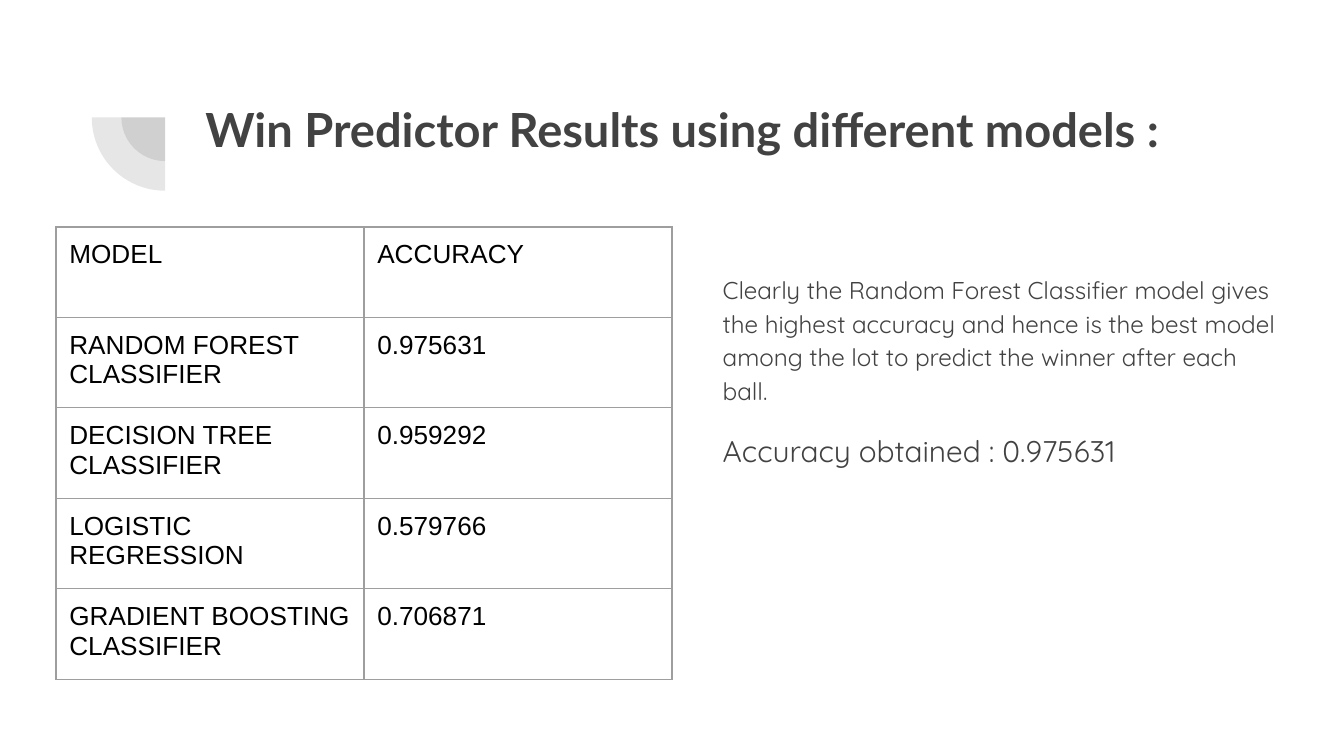
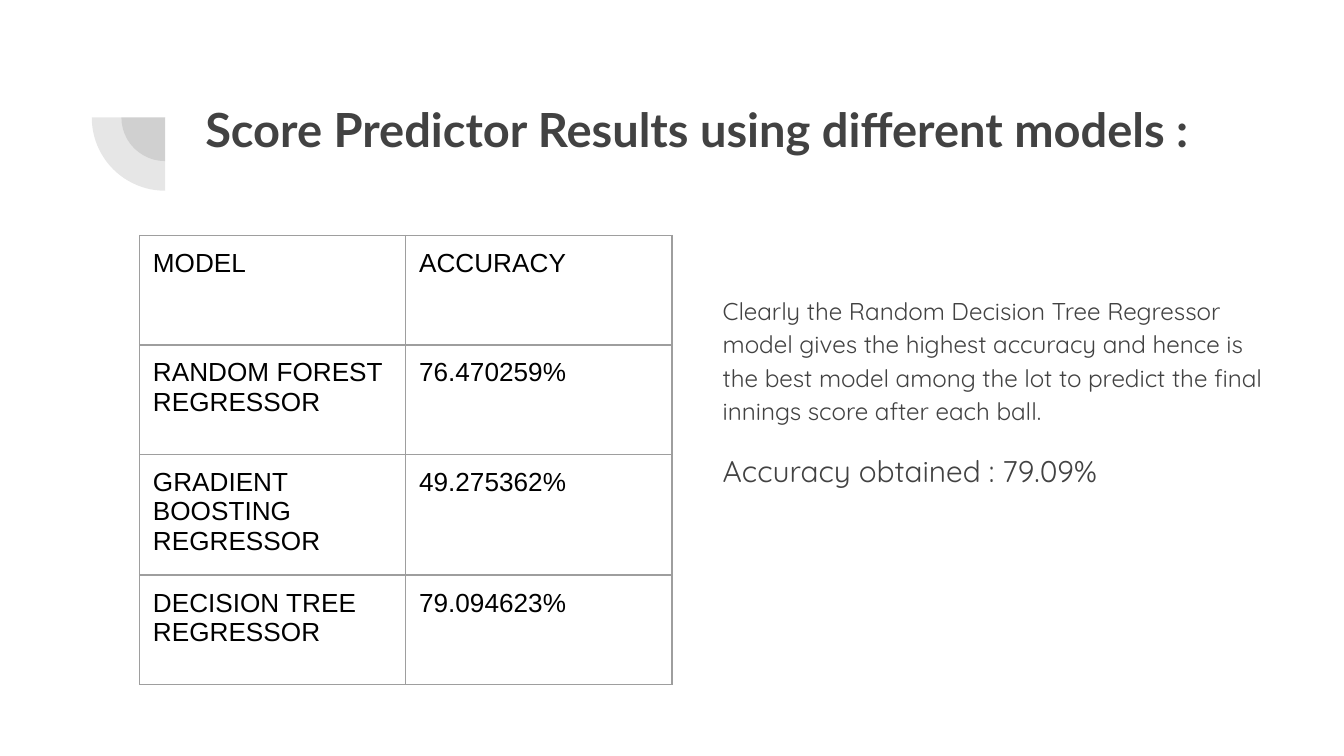
from dataclasses import dataclass

import pptx
import pptx.dml.color
import pptx.enum.shapes
import pptx.enum.text
import pptx.oxml.ns
import pptx.presentation
import pptx.shapes.autoshape
import pptx.slide
import pptx.table
import pptx.text.text
import pptx.util
from lxml import etree

Cm = pptx.util.Cm
Pt = pptx.util.Pt
qn = pptx.oxml.ns.qn

INK = "424242"
BLACK = "000000"
GRID = "9E9E9E"
PADDING = Cm(0.25)
TABLE_RIGHT = Cm(12.7)
BODY_BOTTOM = Cm(12.7)
PIE_CENTRE = (Cm(3.12), Cm(2.22))
PIE_DIAMETERS = (Cm(1.65), Cm(2.77))


@dataclass
class Style:
    font: str
    size: float
    color: str
    bold: bool = False


TITLE = Style("Lato", 25.2, INK, True)
COMMENT = Style("Quicksand", 13, INK)
RESULT = Style("Quicksand", 16, INK)
CELL = Style("Arial", 14, BLACK)


@dataclass
class ResultSlide:
    title: str
    title_width: pptx.util.Length
    comment: str
    result: str
    body_top: pptx.util.Length
    table_top: pptx.util.Length
    column_width: pptx.util.Length
    row_height: pptx.util.Length
    scores: list[tuple[str, str]]


SLIDES = [
    ResultSlide(
        title="Win Predictor Results using different models :",
        title_width=Cm(20.62),
        comment="Clearly the Random Forest Classifier model gives the highest accuracy "
        "and hence is the best model among the lot to predict the winner after each ball.",
        result="Accuracy obtained : 0.975631",
        body_top=Cm(4.88),
        table_top=Cm(4.29),
        column_width=Cm(5.82),
        row_height=Cm(1.71),
        scores=[
            ("RANDOM FOREST CLASSIFIER", "0.975631"),
            ("DECISION TREE CLASSIFIER", "0.959292"),
            ("LOGISTIC REGRESSION", "0.579766"),
            ("GRADIENT BOOSTING CLASSIFIER", "0.706871"),
        ],
    ),
    ResultSlide(
        title="Score Predictor Results using different models :",
        title_width=Cm(21.06),
        comment="Clearly the Random Decision Tree Regressor model gives the highest accuracy "
        "and hence is the best model among the lot to predict the final innings score "
        "after each ball.",
        result="Accuracy obtained : 79.09%",
        body_top=Cm(5.26),
        table_top=Cm(4.45),
        column_width=Cm(5.03),
        row_height=Cm(2.07),
        scores=[
            ("RANDOM FOREST REGRESSOR", "76.470259%"),
            ("GRADIENT BOOSTING REGRESSOR", "49.275362%"),
            ("DECISION TREE REGRESSOR", "79.094623%"),
        ],
    ),
]


def rgb(color: str) -> pptx.dml.color.RGBColor:
    return pptx.dml.color.RGBColor.from_string(color)


def add_run(p: pptx.text.text._Paragraph, text: str, style: Style) -> None:
    r = p.add_run()
    r.text = text
    r.font.name = style.font
    r.font.size = Pt(style.size)
    r.font.bold = style.bold
    r.font.color.rgb = rgb(style.color)


def add_text_box(s: pptx.slide.Slide, left: int, top: int, width: int,
                 height: int) -> pptx.text.text.TextFrame:
    tf = s.shapes.add_textbox(left, top, width, height).text_frame
    tf.word_wrap = True
    tf.vertical_anchor = pptx.enum.text.MSO_ANCHOR.TOP
    tf.margin_left = tf.margin_right = tf.margin_top = tf.margin_bottom = PADDING
    return tf


def add_quarter_pie(s: pptx.slide.Slide, diameter: int) -> None:
    x, y = PIE_CENTRE
    sp = s.shapes.add_shape(pptx.enum.shapes.MSO_SHAPE.PIE, x - diameter // 2,
                            y - diameter // 2, diameter, diameter)
    sp.adjustments[0] = 108
    sp.adjustments[1] = 162
    sp.rotation = 270
    sp.shadow.inherit = False
    sp.line.fill.background()
    sp.fill.solid()
    sp.fill.fore_color.rgb = rgb(INK)
    color = sp.fill._xPr.find(".//" + qn("a:srgbClr"))
    etree.SubElement(color, qn("a:alpha"), val="13000")


def add_borders(cell: pptx.table._Cell) -> None:
    tc_pr = cell._tc.get_or_add_tcPr()
    for side in ("lnL", "lnR", "lnT", "lnB"):
        line = etree.SubElement(tc_pr, qn(f"a:{side}"), w=str(Pt(0.75)))
        fill = etree.SubElement(line, qn("a:solidFill"))
        etree.SubElement(fill, qn("a:srgbClr"), val=GRID)


def add_score_table(s: pptx.slide.Slide, item: ResultSlide) -> None:
    rows = [("MODEL", "ACCURACY"), *item.scores]
    width = 2 * item.column_width
    table = s.shapes.add_table(len(rows), 2, TABLE_RIGHT - width, item.table_top,
                               width, len(rows) * item.row_height).table
    table.first_row = False
    table.horz_banding = False
    for i, row in enumerate(rows):
        for j, text in enumerate(row):
            cell = table.cell(i, j)
            cell.margin_left = cell.margin_right = PADDING
            cell.margin_top = cell.margin_bottom = PADDING
            add_borders(cell)
            cell.fill.background()
            add_run(cell.text_frame.paragraphs[0], text, CELL)


def add_result_slide(prs: pptx.presentation.Presentation, item: ResultSlide) -> None:
    s = prs.slides.add_slide(prs.slide_layouts[6])
    for diameter in PIE_DIAMETERS:
        add_quarter_pie(s, diameter)

    tf = add_text_box(s, Cm(3.63), Cm(1.65), item.title_width, Cm(2.77))
    add_run(tf.paragraphs[0], item.title, TITLE)

    tf = add_text_box(s, Cm(13.41), item.body_top, Cm(11.1), BODY_BOTTOM - item.body_top)
    p = tf.paragraphs[0]
    p.line_spacing = 1.15
    add_run(p, item.comment, COMMENT)
    p = tf.add_paragraph()
    p.line_spacing = 1.15
    p.space_before = Pt(12)
    add_run(p, item.result, RESULT)

    add_score_table(s, item)


def main() -> None:
    prs = pptx.Presentation()
    prs.slide_width = Cm(25.4)
    prs.slide_height = Cm(14.29)
    for item in SLIDES:
        add_result_slide(prs, item)
    prs.save("out.pptx")


if __name__ == "__main__":
    main()
